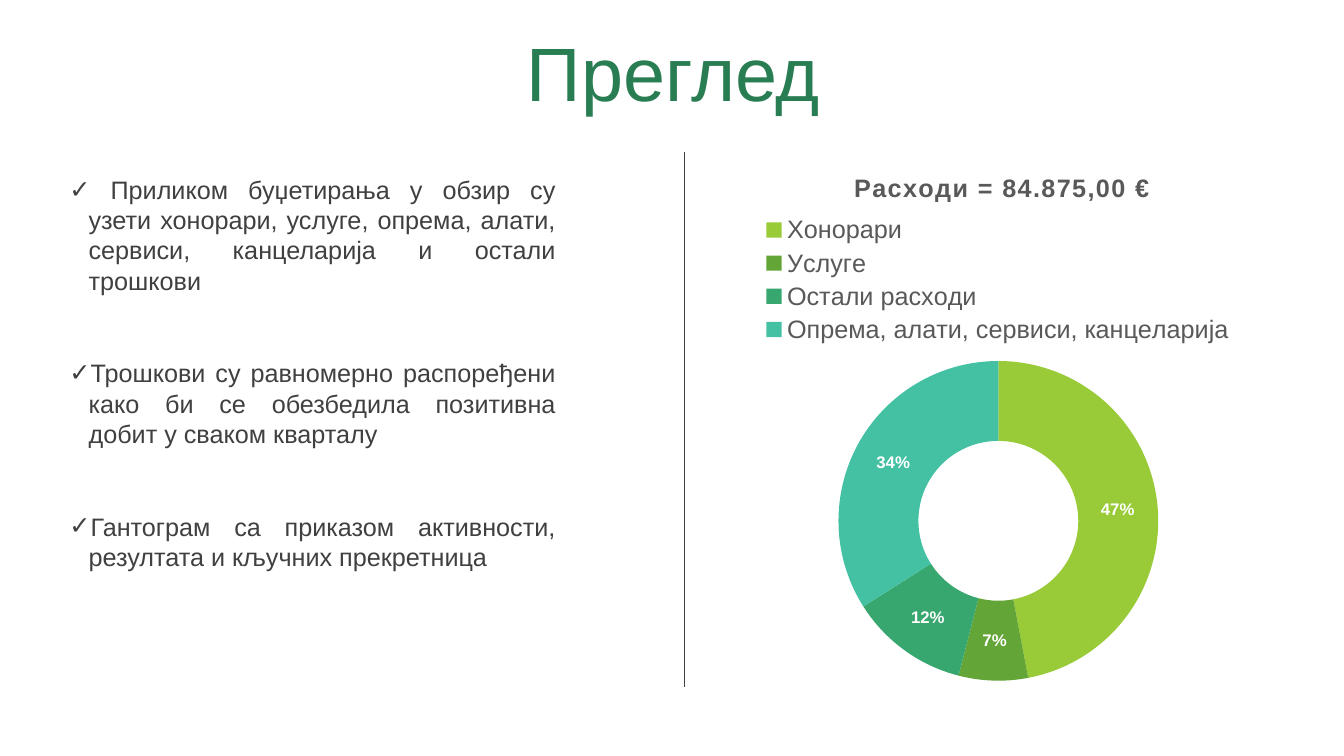
from lxml.etree import SubElement
from pptx import Presentation
from pptx.chart.data import CategoryChartData
from pptx.dml.color import RGBColor
from pptx.enum.chart import XL_CHART_TYPE, XL_LEGEND_POSITION
from pptx.enum.shapes import MSO_CONNECTOR
from pptx.enum.text import MSO_ANCHOR, PP_ALIGN
from pptx.oxml import parse_xml
from pptx.oxml.ns import nsdecls, qn
from pptx.util import Inches, Pt

TITLE_GREEN = RGBColor(0x29, 0x7D, 0x53)
DARK = RGBColor(0x40, 0x40, 0x40)
GRAY = RGBColor(0x59, 0x59, 0x59)
WHITE = RGBColor(0xFF, 0xFF, 0xFF)
LIME = RGBColor(0x99, 0xCB, 0x38)
LEAF = RGBColor(0x63, 0xA5, 0x37)
EMERALD = RGBColor(0x37, 0xA7, 0x6F)
TEAL = RGBColor(0x44, 0xC1, 0xA3)

TITLE = "Преглед"
NOTES = [
    (1.68, 1.31, " Приликом буџетирања у обзир су узети хонорари, услуге, опрема, "
                 "алати, сервиси, канцеларија и остали трошкови"),
    (3.5, 1.01, "Трошкови су равномерно распоређени како би се обезбедила "
                "позитивна добит у сваком кварталу"),
    (5.02, 0.71, "Гантограм са приказом активности, резултата и кључних прекретница"),
]
CHART_TITLE = "Расходи = 84.875,00 €"
COSTS = [
    ("Хонорари", 47, LIME),
    ("Услуге", 7, LEAF),
    ("Остали расходи", 12, EMERALD),
    ("Опрема, алати, сервиси, канцеларија", 34, TEAL),
]
NOTE_LEFT, NOTE_WIDTH, INDENT = 0.59, 5.02, 0.19
DIVIDER_X, DIVIDER_TOP, DIVIDER_BOTTOM = 6.79, 1.51, 6.82
CHART_BOX = (6.4, 1.44, 6.99, 5.45)
TITLE_BOX = (0.35, 0.37, 12.66, 0.79)


def style(font, color, **values):
    for name, value in {"name": "Arial", **values}.items():
        setattr(font, name, value)
    font.color.rgb = color


def add_text(s, box, text, color, size, **para):
    tf = s.shapes.add_textbox(*map(Inches, box)).text_frame
    tf.word_wrap = True
    p = tf.paragraphs[0]
    for name, value in para.items():
        setattr(p, name, value)
    r = p.add_run()
    r.text = text
    style(r.font, color, size=Pt(size))
    return tf


def add_check(p):
    pPr = p._p.get_or_add_pPr()
    pPr.set("marL", str(Inches(INDENT)))
    pPr.set("indent", str(-Inches(INDENT)))
    SubElement(pPr, qn("a:buFont")).set("typeface", "Arial")
    SubElement(pPr, qn("a:buChar")).set("char", "✓")


def place(parent, index, target="", **shares):
    for old in parent.findall(qn("c:layout")):
        parent.remove(old)
    inner = f'<c:layoutTarget val="{target}"/>' if target else ""
    modes = "".join(f'<c:{k}Mode val="edge"/>' for k in "xy")
    sizes = "".join(f'<c:{k} val="{v}"/>' for k, v in shares.items())
    parent.insert(index, parse_xml(
        f'<c:layout {nsdecls("c")}><c:manualLayout>{inner}{modes}{sizes}'
        '</c:manualLayout></c:layout>'))


def add_costs(s):
    data = CategoryChartData()
    data.categories = [name for name, _, _ in COSTS]
    data.add_series("Series 1", [value for _, value, _ in COSTS])
    chart = s.shapes.add_chart(
        XL_CHART_TYPE.DOUGHNUT, *map(Inches, CHART_BOX), data).chart
    style(chart.font, GRAY, size=Pt(10))

    chart.has_title = True
    p = chart.chart_title.text_frame.paragraphs[0]
    r = p.add_run()
    r.text = CHART_TITLE
    style(r.font, GRAY, size=Pt(18), bold=True)
    r.font._element.set("spc", "100")
    place(chart.chart_title._element, 1, x=0.29, y=0.04)

    chart.has_legend = True
    legend = chart.legend
    legend.position = XL_LEGEND_POSITION.TOP
    legend.include_in_layout = False
    style(legend.font, GRAY, size=Pt(18))
    place(legend._element, 1, x=0.165, y=0.12, w=0.67, h=0.25)

    plot = chart.plots[0]
    plot.vary_by_categories = True
    plot._element.find(qn("c:holeSize")).set("val", "50")
    place(plot._element.getparent(), 0, "inner", x=0.274, y=0.393, w=0.454, h=0.582)
    for i, (_, _, color) in enumerate(COSTS):
        fill = plot.series[0].points[i].format.fill
        fill.solid()
        fill.fore_color.rgb = color
    labels = plot.series[0].data_labels
    for name, value in {"show_percentage": True, "show_value": False,
                        "show_legend_key": False, "number_format": "0%",
                        "number_format_is_linked": False}.items():
        setattr(labels, name, value)
    style(labels.font, WHITE, size=Pt(12), bold=True)


def main():
    prs = Presentation()
    prs.slide_width, prs.slide_height = Inches(13.33), Inches(7.5)
    s = prs.slides.add_slide(prs.slide_layouts[6])

    tf = add_text(s, TITLE_BOX, TITLE, TITLE_GREEN, 54, alignment=PP_ALIGN.CENTER,
                  line_spacing=0.9, space_before=Pt(10))
    tf.vertical_anchor = MSO_ANCHOR.MIDDLE
    add_costs(s)
    for top, height, text in NOTES:
        tf = add_text(s, (NOTE_LEFT, top, NOTE_WIDTH, height), text, DARK, 18,
                      alignment=PP_ALIGN.JUSTIFY)
        add_check(tf.paragraphs[0])

    divider = s.shapes.add_connector(MSO_CONNECTOR.STRAIGHT, *map(
        Inches, (DIVIDER_X, DIVIDER_TOP, DIVIDER_X, DIVIDER_BOTTOM)))
    divider.line.color.rgb = DARK
    divider.line.width = Pt(0.5)
    SubElement(divider._element.spPr, qn("a:effectLst"))
    prs.save("out.pptx")


if __name__ == "__main__":
    main()
